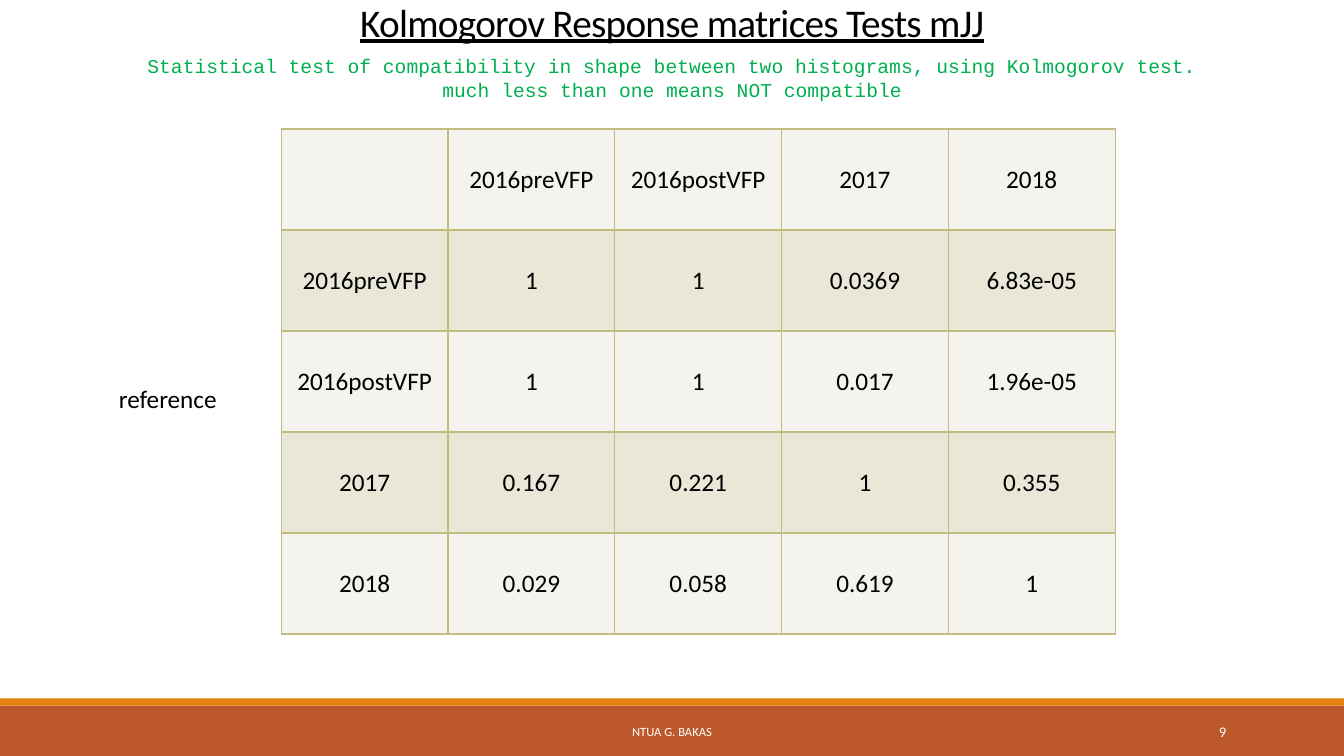
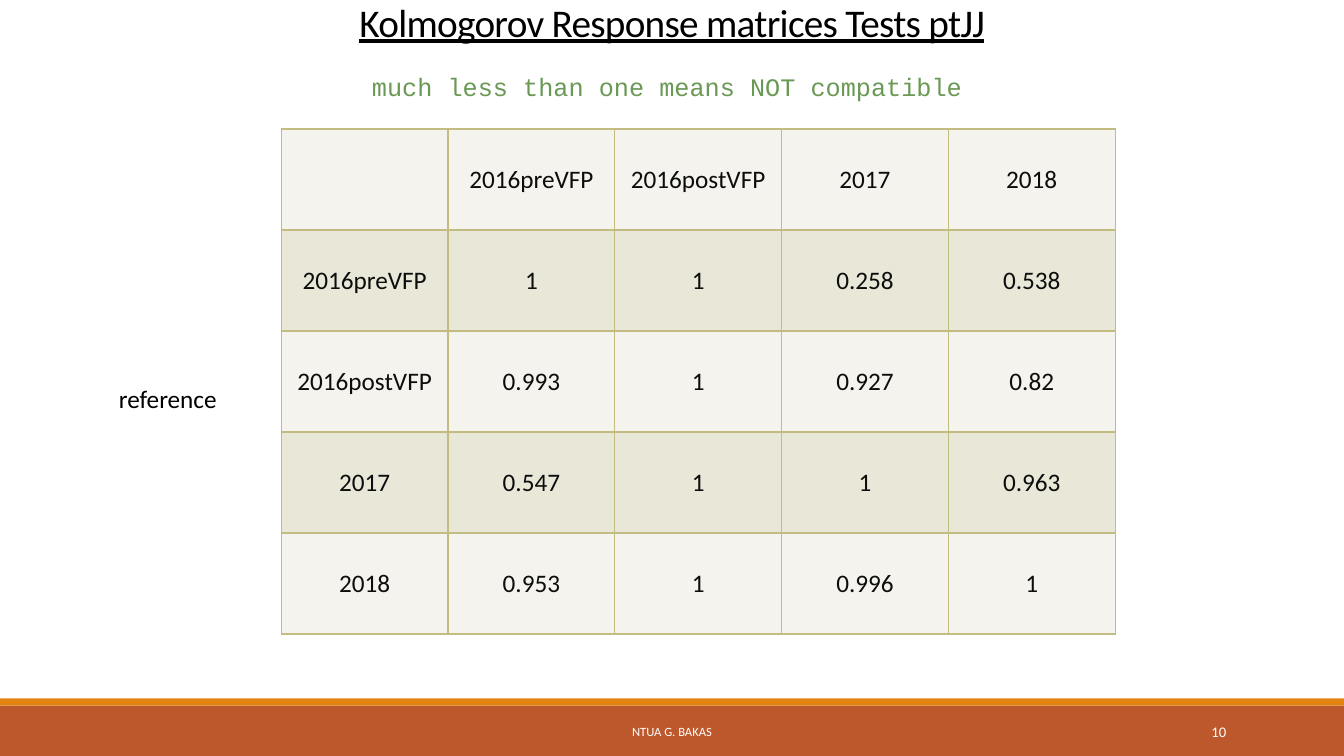
"""Build two slides of Kolmogorov test tables for response matrices."""
from lxml import etree
from pptx import Presentation
from pptx.dml.color import RGBColor
from pptx.enum.shapes import MSO_SHAPE
from pptx.enum.text import MSO_ANCHOR, PP_ALIGN
from pptx.oxml.ns import qn
from pptx.util import Inches, Pt

CENTER, RIGHT, LEFT = PP_ALIGN.CENTER, PP_ALIGN.RIGHT, PP_ALIGN.LEFT
TOP, MIDDLE, BOTTOM = MSO_ANCHOR.TOP, MSO_ANCHOR.MIDDLE, MSO_ANCHOR.BOTTOM
RECTANGLE = MSO_SHAPE.RECTANGLE

SANS, MONO = "Calibri", "Courier New"
BLACK, WHITE = "000000", "FFFFFF"
ROW_FILLS = ("F4F3ED", "E9E7D8")
BORDER = "C2BC80"
BANDS = (
    ((0, 7, 13.33, 0.5), "BD582C"),
    ((0, 6.93, 13.33, 0.07), "E48312"),
)
TABLE_AREA = (2.79, 1.28, 8.27, 5.01)
FOOTER = "NTUA G. BAKAS"
PERIODS = ("2016preVFP", "2016postVFP", "2017", "2018")

SLIDES = (
    {
        "title": "Kolmogorov Response matrices Tests mJJ",
        "number": "9",
        "note": "Statistical test of compatibility in shape between two histograms, "
                "using Kolmogorov test.\nmuch less than one means NOT compatible",
        "note_area": (1.34, 0.49, 10.66, 0.57),
        "note_align": CENTER,
        "note_font": {"name": MONO, "size": Pt(14), "color": "00B050"},
        "table_color": BLACK,
        "values": (
            ("1", "1", "0.0369", "6.83e-05"),
            ("1", "1", "0.017", "1.96e-05"),
            ("0.167", "0.221", "1", "0.355"),
            ("0.029", "0.058", "0.619", "1"),
        ),
    },
    {
        "title": "Kolmogorov Response matrices Tests ptJJ",
        "number": "10",
        "note": "much less than one means NOT compatible",
        "note_area": (3.59, 0.66, 6.15, 0.4),
        "note_align": LEFT,
        "note_font": {"name": MONO, "size": Pt(18), "color": "6A9955"},
        "table_color": "0D0D0D",
        "values": (
            ("1", "1", "0.258", "0.538"),
            ("0.993", "1", "0.927", "0.82"),
            ("0.547", "1", "1", "0.963"),
            ("0.953", "1", "0.996", "1"),
        ),
    },
)


def rgb(color):
    """Turn a hex string into a colour."""
    return RGBColor.from_string(color)


def inches(area):
    """Convert left, top, width and height to lengths."""
    return [Inches(value) for value in area]


def write(frame, text, font, align=CENTER):
    """Fill a text frame with one paragraph per line and format its runs."""
    frame.text = text
    for para in frame.paragraphs:
        para.alignment = align
        for span in para.runs:
            for name, value in font.items():
                if name == "color":
                    span.font.color.rgb = rgb(value)
                else:
                    setattr(span.font, name, value)


def add_text(page, area, text, font, align=CENTER, anchor=TOP, wrap=True):
    """Add a text box and return its text frame."""
    frame = page.shapes.add_textbox(*inches(area)).text_frame
    frame.word_wrap = wrap
    frame.vertical_anchor = anchor
    write(frame, text, font, align)
    return frame


def add_frame(page, title, number):
    """Add the bands, footer, page number and title that all slides share."""
    for area, color in BANDS:
        band = page.shapes.add_shape(RECTANGLE, *inches(area))
        band.shadow.inherit = False
        band.fill.solid()
        band.fill.fore_color.rgb = rgb(color)
        band.line.fill.background()
    small = {"name": SANS, "size": Pt(9), "color": WHITE}
    add_text(page, (4.03, 7.06, 5.27, 0.4), FOOTER, small, anchor=MIDDLE)
    add_text(page, (10.83, 7.06, 1.43, 0.4), number,
             {**small, "size": Pt(10.5)}, RIGHT, MIDDLE)
    heading = {"name": SANS, "size": Pt(28), "color": BLACK, "underline": True}
    para = add_text(page, (0.91, -0.03, 11.51, 0.53), title, heading,
                    anchor=BOTTOM).paragraphs[0]
    para.line_spacing = 0.85
    para.runs[0].font._element.set("spc", "-50")


def add_borders(cell):
    """Draw a thin line on all four sides of a cell."""
    properties = cell._tc.get_or_add_tcPr()
    for index, side in enumerate(("a:lnL", "a:lnR", "a:lnT", "a:lnB")):
        line = etree.Element(qn(side), w=str(Pt(1)))
        fill = etree.SubElement(line, qn("a:solidFill"))
        etree.SubElement(fill, qn("a:srgbClr"), val=BORDER)
        properties.insert(index, line)


def add_matrix(page, values, color):
    """Add the table of test results between data-taking periods."""
    rows = [("", *PERIODS)]
    rows += [(period, *line) for period, line in zip(PERIODS, values)]
    table = page.shapes.add_table(len(rows), len(rows[0]), *inches(TABLE_AREA)).table
    table.first_row = table.horz_banding = False
    font = {"name": SANS, "size": Pt(18), "color": color}
    for row_index, row in enumerate(rows):
        for column_index, text in enumerate(row):
            cell = table.cell(row_index, column_index)
            cell.vertical_anchor = MIDDLE
            cell.fill.solid()
            cell.fill.fore_color.rgb = rgb(ROW_FILLS[row_index % 2])
            write(cell.text_frame, text, font)
            add_borders(cell)


def main():
    """Build and save the deck."""
    deck = Presentation()
    deck.slide_width, deck.slide_height = Inches(13.33), Inches(7.5)
    for content in SLIDES:
        page = deck.slides.add_slide(deck.slide_layouts[6])
        add_frame(page, content["title"], content["number"])
        add_text(page, content["note_area"], content["note"], content["note_font"],
                 content["note_align"], wrap=False)
        add_matrix(page, content["values"], content["table_color"])
        add_text(page, (0.73, 3.75, 1.87, 0.4), "reference",
                 {"name": SANS, "size": Pt(18), "color": BLACK})
    deck.save("out.pptx")


if __name__ == "__main__":
    main()
